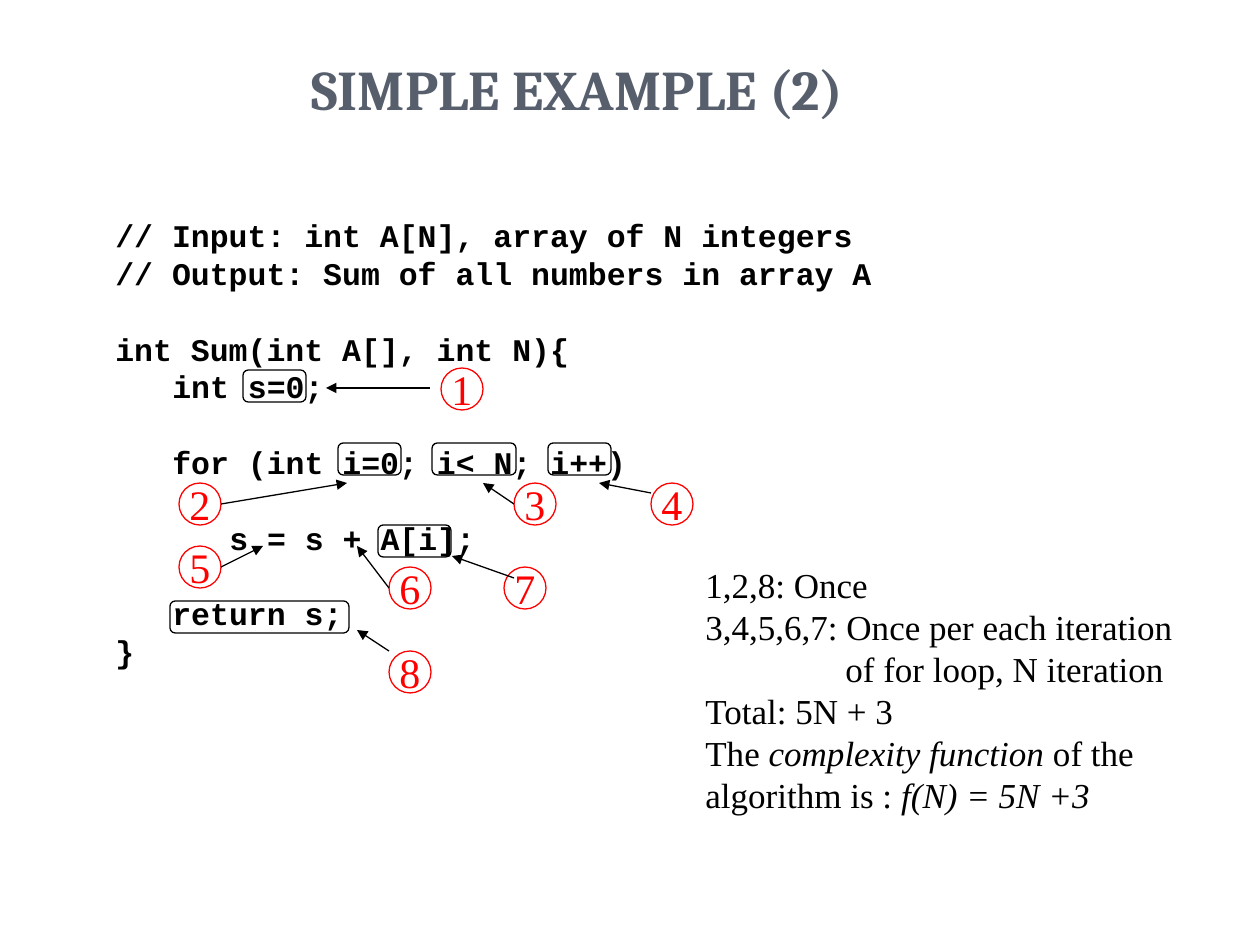
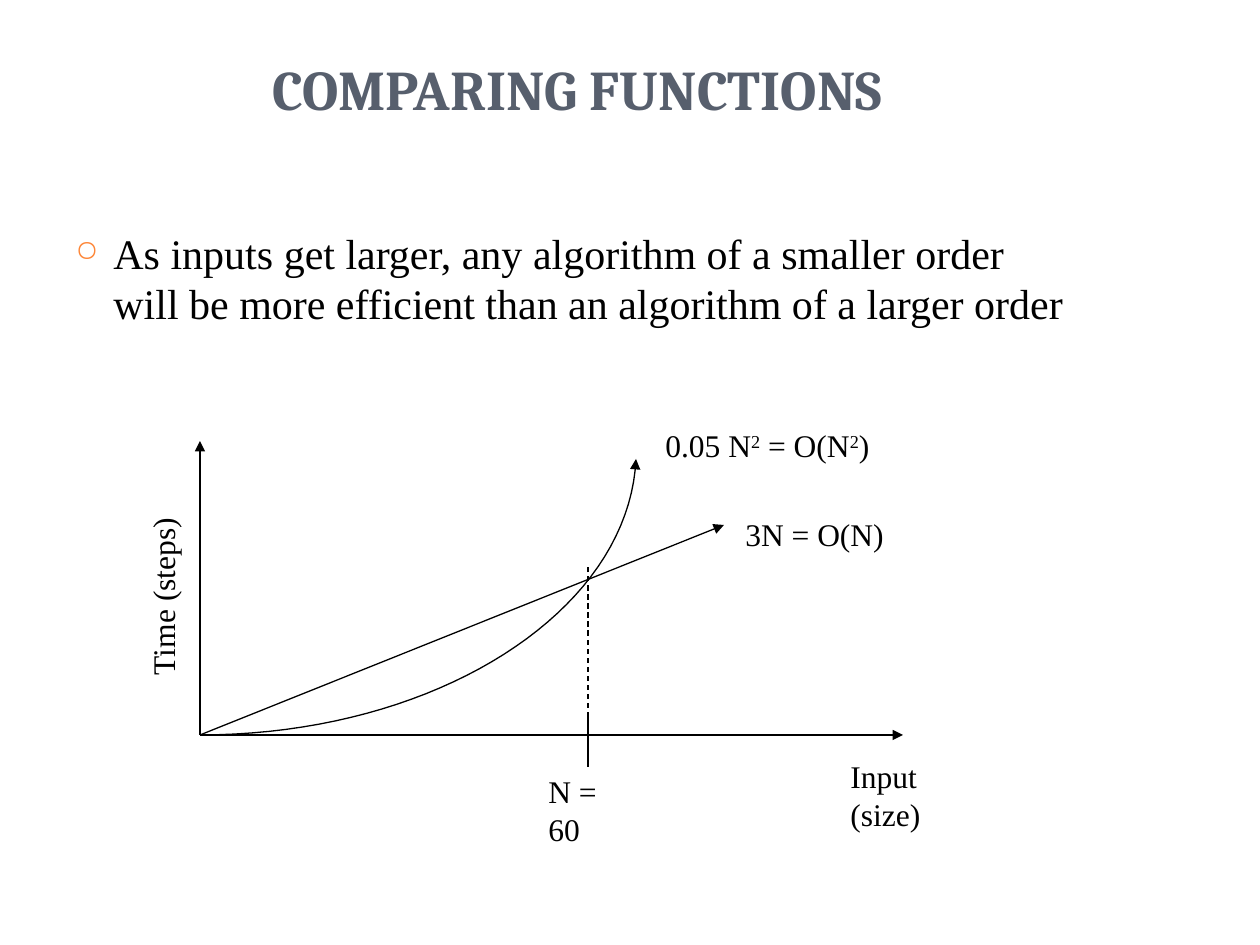
import dataclasses

import pptx
import pptx.dml.color
import pptx.enum.dml
import pptx.enum.shapes
import pptx.enum.text
import pptx.oxml
import pptx.oxml.ns
import pptx.util

EMU_PER_PX = 914400 / 126
COLORS = {"title": "575F6D", "ink": "000000", "label": "FF0000", "bullet": "FE8637"}
TITLE_FONT, CODE_FONT, BODY_FONT = "Cambria", "Courier New", "Times New Roman"
LINE_HEIGHT = 1.2
LINE_WIDTH = 0.75
CIRCLE_SIZE = 42
CODE_INDENT = 57
ITALIC = {"italic": True}
SUPERSCRIPT = {"baseline": "30000"}
SHAPES = pptx.enum.shapes.MSO_SHAPE
ALIGN = pptx.enum.text.PP_ALIGN
ANCHOR = pptx.enum.text.MSO_ANCHOR


@dataclasses.dataclass
class Line:
    """One paragraph: runs of (text, format), an indent in px, and a line's gap above."""
    runs: list
    indent: int = 0
    gap: bool = False


def px(length):
    return pptx.util.Emu(round(length * EMU_PER_PX))


def rgb(name):
    return pptx.dml.color.RGBColor.from_string(COLORS[name])


def plain(text, indent=0, gap=False):
    return Line([(text, {})], indent, gap)


def format_run(run, font, size, color, **extra):
    baseline = extra.pop("baseline", None)
    values = {"name": font, "size": pptx.util.Pt(size), "bold": False, **extra}
    for name, value in values.items():
        setattr(run.font, name, value)
    run.font.color.rgb = rgb(color)
    if baseline:
        run.font._element.set("baseline", baseline)


def write_lines(frame, lines, font, size, color="ink", align=ALIGN.LEFT, **extra):
    for index, line in enumerate(lines):
        paragraph = frame.paragraphs[0] if index == 0 else frame.add_paragraph()
        height = pptx.util.Pt(size * LINE_HEIGHT)
        paragraph.alignment = align
        paragraph.line_spacing = height
        if line.gap:
            paragraph.space_before = height
        if line.indent:
            paragraph._p.get_or_add_pPr().set("marL", str(px(line.indent)))
        for text, style in line.runs:
            run = paragraph.add_run()
            run.text = text
            format_run(run, font, size, color, **extra, **style)


def add_title_slide(presentation, title):
    slide = presentation.slides.add_slide(presentation.slide_layouts[5])
    shape = slide.shapes.title
    geometry = {"left": 63, "top": 38, "width": 1029, "height": 157}
    for name, value in geometry.items():
        setattr(shape, name, px(value))
    frame = shape.text_frame
    frame.auto_size = pptx.enum.text.MSO_AUTO_SIZE.NONE
    frame.vertical_anchor = ANCHOR.BOTTOM
    frame.margin_bottom = px(73)
    write_lines(frame, [plain(title)], TITLE_FONT, 32, "title", ALIGN.CENTER, bold=True)
    return slide


def add_text(slide, box, lines, font, size, wrap=False, **extra):
    shape = slide.shapes.add_textbox(*map(px, box))
    frame = shape.text_frame
    frame.word_wrap = wrap
    if not wrap:
        frame.auto_size = pptx.enum.text.MSO_AUTO_SIZE.SHAPE_TO_FIT_TEXT
    write_lines(frame, lines, font, size, **extra)
    return shape


def add_bullet(paragraph):
    properties = paragraph._p.get_or_add_pPr()
    properties.set("marL", str(px(38)))
    properties.set("indent", str(px(-38)))
    namespace = pptx.oxml.ns.nsdecls("a")
    for xml in (
        f'<a:buClr {namespace}><a:srgbClr val="{COLORS["bullet"]}"/></a:buClr>',
        f'<a:buSzPct {namespace} val="70000"/>',
        f'<a:buChar {namespace} char="○"/>',
    ):
        properties.append(pptx.oxml.parse_xml(xml))


def style_line(shape, color="ink", arrow=False):
    shape.line.color.rgb = rgb(color)
    shape.line.width = pptx.util.Pt(LINE_WIDTH)
    if arrow:
        namespace = pptx.oxml.ns.nsdecls("a")
        head = pptx.oxml.parse_xml(f'<a:tailEnd {namespace} type="triangle"/>')
        shape.line._get_or_add_ln().append(head)


def add_outline(slide, kind, box, color="ink"):
    shape = slide.shapes.add_shape(kind, *map(px, box))
    shape.shadow.inherit = False
    shape.fill.background()
    style_line(shape, color)
    return shape


def add_numbered_circle(slide, number, left, top):
    box = (left, top, CIRCLE_SIZE, CIRCLE_SIZE)
    frame = add_outline(slide, SHAPES.OVAL, box, "label").text_frame
    frame.word_wrap = False
    frame.vertical_anchor = ANCHOR.MIDDLE
    write_lines(frame, [plain(str(number))], BODY_FONT, 24, "label", ALIGN.CENTER)


def add_line(slide, start, end, arrow=False, dashed=False):
    connector = slide.shapes.add_connector(
        pptx.enum.shapes.MSO_CONNECTOR.STRAIGHT, *map(px, (*start, *end)))
    namespace = pptx.oxml.ns.nsdecls("a")
    style_line(connector, arrow=arrow)
    if dashed:
        connector.line.dash_style = pptx.enum.dml.MSO_LINE.DASH
    connector._element.spPr.append(pptx.oxml.parse_xml(f"<a:effectLst {namespace}/>"))


def add_curve(slide, controls, steps=40):
    """Draw a cubic Bézier curve, given by four points, with an arrowhead at its end."""
    points = []
    for step in range(steps + 1):
        t = step / steps
        weights = ((1 - t) ** 3, 3 * t * (1 - t) ** 2, 3 * t ** 2 * (1 - t), t ** 3)
        points.append(tuple(
            px(sum(weight * point[axis] for weight, point in zip(weights, controls)))
            for axis in (0, 1)))
    builder = slide.shapes.build_freeform(*points[0])
    builder.add_line_segments(points[1:], close=False)
    curve = builder.convert_to_shape()
    curve.shadow.inherit = False
    curve.fill.background()
    style_line(curve, arrow=True)


def build_simple_example(presentation):
    slide = add_title_slide(presentation, "SIMPLE EXAMPLE (2)")
    code = [
        plain("// Input: int A[N], array of N integers"),
        plain("// Output: Sum of all numbers in array A"),
        plain("int Sum(int A[], int N){", gap=True),
        plain("int s=0;", CODE_INDENT),
        plain("for (int i=0; i< N; i++)", CODE_INDENT, gap=True),
        plain("s = s + A[i];", 2 * CODE_INDENT, gap=True),
        plain("return s;", CODE_INDENT, gap=True),
        plain("}"),
    ]
    add_text(slide, (103, 210, 781, 504), code, CODE_FONT, 18, bold=True)

    code_marks = [(170, 601, 179), (243, 370, 63), (338, 443, 63),
                  (378, 525, 73), (432, 443, 84), (548, 443, 63)]
    for left, top, width in code_marks:
        add_outline(slide, SHAPES.ROUNDED_RECTANGLE, (left, top, width, 32))

    # Circle corner, arrow start, arrow end
    steps = [
        ((441, 368), (430, 388), (326, 388)),
        ((179, 483), (221, 504), (347, 483)),
        ((514, 483), (514, 504), (483, 483)),
        ((651, 483), (651, 493), (599, 483)),
        ((179, 546), (221, 567), (263, 546)),
        ((389, 567), (389, 588), (357, 546)),
        ((504, 567), (514, 578), (452, 556)),
        ((389, 651), (389, 651), (357, 630)),
    ]
    for number, (corner, start, end) in enumerate(steps, 1):
        add_numbered_circle(slide, number, *corner)
        add_line(slide, start, end, arrow=True)

    analysis = [
        plain("1,2,8: Once"),
        plain("3,4,5,6,7: Once per each iteration"),
        plain("of for loop, N iteration", 140),
        plain("Total: 5N + 3"),
        Line([("The ", {}), ("complexity function", ITALIC), (" of the", {})]),
        Line([("algorithm is : ", {}), ("f(N) = 5N +3", ITALIC)]),
    ]
    add_text(slide, (693, 557, 493, 265), analysis, BODY_FONT, 20)


def build_comparing_functions(presentation):
    slide = add_title_slide(presentation, "COMPARING FUNCTIONS")
    statement = plain("As inputs get larger, any algorithm of a smaller order "
                      "will be more efficient than an algorithm of a larger order")
    body = add_text(slide, (63, 221, 1029, 672), [statement], BODY_FONT, 24, wrap=True)
    add_bullet(body.text_frame.paragraphs[0])

    origin = (200, 735)
    for end in ((200, 441), (903, 735), (724, 525)):
        add_line(slide, origin, end, arrow=True)
    add_curve(slide, (origin, (436, 735), (629, 612), (636, 459)))

    crossing = 588
    add_line(slide, (crossing, 714), (crossing, 767))
    add_line(slide, (crossing, 735), (crossing, 567), dashed=True)

    quadratic = Line([("0.05 N", {}), ("2", SUPERSCRIPT), (" = O(N", {}),
                      ("2", SUPERSCRIPT), (")", {})])
    labels = [
        ((71, 571, 183, 50), plain("Time (steps)"), 270),
        ((838, 751, 169, 50), plain("Input (size)"), 0),
        ((733, 509, 164, 50), plain("3N = O(N)"), 0),
        ((653, 420, 229, 50), quadratic, 0),
        ((536, 766, 112, 50), plain("N = 60"), 0),
    ]
    for box, line, rotation in labels:
        add_text(slide, box, [line], BODY_FONT, 18).rotation = rotation


def main():
    presentation = pptx.Presentation()
    presentation.slide_width = px(1260)
    presentation.slide_height = px(945)
    build_simple_example(presentation)
    build_comparing_functions(presentation)
    presentation.save("out.pptx")


if __name__ == "__main__":
    main()
